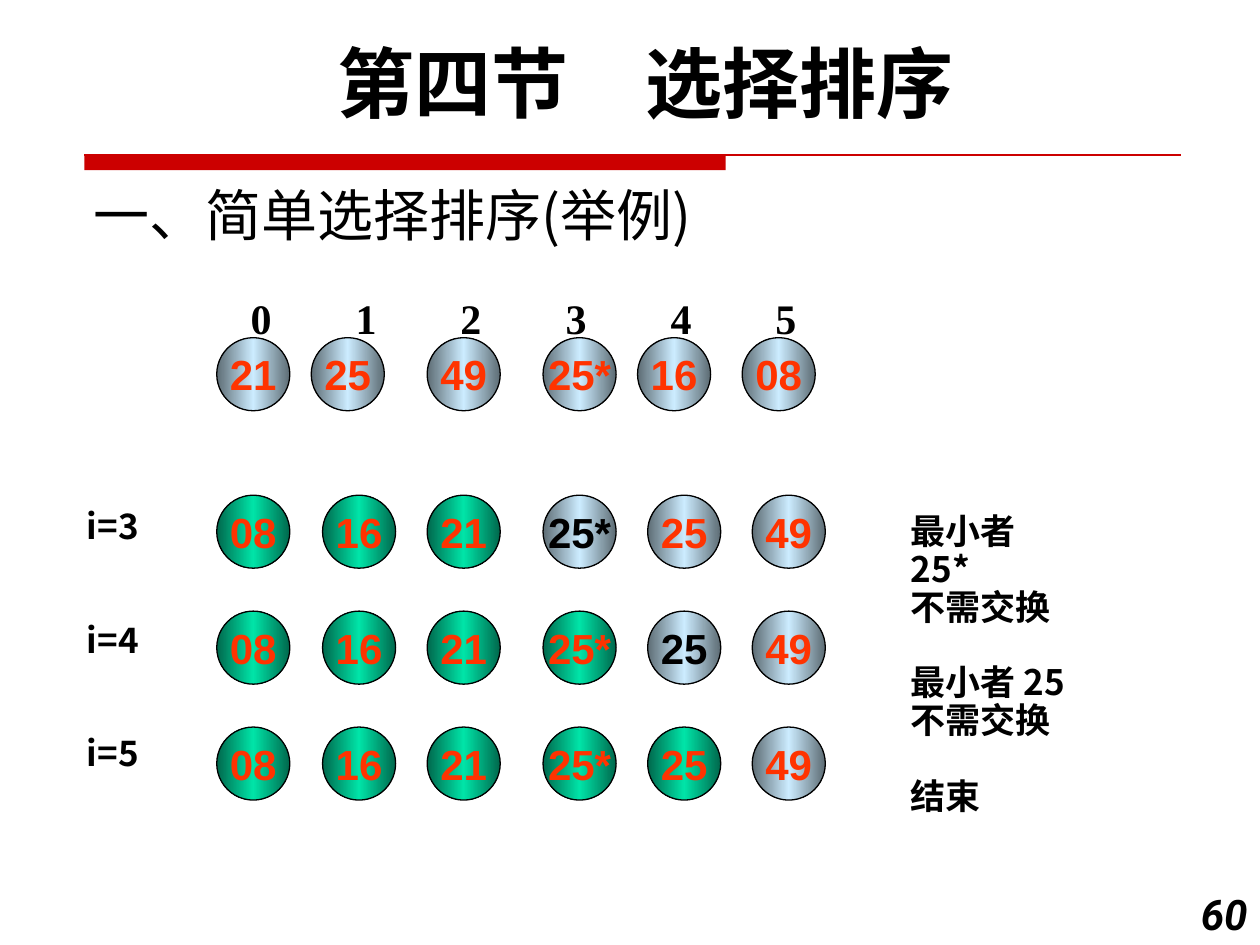
from lxml import etree
from pptx import Presentation
from pptx.dml.color import RGBColor
from pptx.enum.shapes import MSO_CONNECTOR, MSO_SHAPE
from pptx.enum.text import MSO_ANCHOR, PP_ALIGN
from pptx.oxml import parse_xml
from pptx.oxml.ns import nsdecls, qn
from pptx.util import Inches, Pt

OVAL, RECTANGLE = MSO_SHAPE.OVAL, MSO_SHAPE.RECTANGLE
STRAIGHT = MSO_CONNECTOR.STRAIGHT
MIDDLE, BOTTOM = MSO_ANCHOR.MIDDLE, MSO_ANCHOR.BOTTOM
LEFT, CENTER, RIGHT = PP_ALIGN.LEFT, PP_ALIGN.CENTER, PP_ALIGN.RIGHT

BLACK = RGBColor(0x00, 0x00, 0x00)
RULE_RED = RGBColor(0xCC, 0x00, 0x00)
KEY_RED = RGBColor(0xFF, 0x33, 0x00)
# Edge and middle colours of each ball
BLUE_BALL = (RGBColor(0x5D, 0x6C, 0x74), RGBColor(0xCC, 0xEC, 0xFF))
GREEN_BALL = (RGBColor(0x00, 0x68, 0x4C), RGBColor(0x00, 0xE4, 0xA8))

CHINESE, HEADING, SERIF, SANS = "Noto Sans CJK SC", "Roboto", "Times New Roman", "Arial"
BALL_SIZE = 0.58
BALL_OFFSETS = (0, 0.84, 1.67, 2.59, 3.42, 4.25)
START_OFFSETS = (0, 0.75, 1.67, 2.59, 3.34, 4.17)
LINE_POINTS = 21.6

# Top, keys, number of sorted keys, position of the smallest remaining key
PASSES = (
    (3.93, ("08", "16", "21", "25*", "25", "49"), 3, 3),
    (4.85, ("08", "16", "21", "25*", "25", "49"), 4, 4),
    (5.77, ("08", "16", "21", "25*", "25", "49"), 5, None),
)


def add_run(paragraph, text, size, font_name, color=BLACK, bold=True, italic=False):
    run = paragraph.add_run()
    run.text = text
    font = run.font
    font.size, font.name, font.bold, font.italic = Pt(size), font_name, bold, italic
    font.color.rgb = color
    east_asian = CHINESE if font_name == HEADING else font_name
    latin = run.font._element.find(qn("a:latin"))
    latin.addnext(parse_xml(f'<a:ea {nsdecls("a")} typeface="{east_asian}"/>'))


def add_text_box(slide, left, top, width, height):
    text_box = slide.shapes.add_textbox(
        Inches(left), Inches(top), Inches(width), Inches(height))
    text_box.text_frame.word_wrap = True
    return text_box.text_frame


def add_heading(slide, left, top, width, height):
    paragraph = add_text_box(slide, left, top, width, height).paragraphs[0]
    paragraph.alignment = CENTER
    add_run(paragraph, "第四节\u3000选择排序".replace("\u3000", "　"), 44, HEADING)


def add_rule(slide, left, top, width, bar_width, bar_height):
    bar = slide.shapes.add_shape(
        RECTANGLE, Inches(left), Inches(top), Inches(bar_width), Inches(bar_height))
    bar.shadow.inherit = False
    bar.fill.solid()
    bar.fill.fore_color.rgb = RULE_RED
    bar.line.fill.background()
    line = slide.shapes.add_connector(
        STRAIGHT, Inches(left), Inches(top), Inches(left + width), Inches(top))
    line.line.color.rgb = RULE_RED
    line.line.width = Pt(0.75)
    etree.SubElement(line._element.spPr, qn("a:effectLst"))


def set_title(slide, left, top, width, height):
    title = slide.shapes.title
    title.left, title.top = Inches(left), Inches(top)
    title.width, title.height = Inches(width), Inches(height)
    title.text_frame.vertical_anchor = BOTTOM
    paragraph = title.text_frame.paragraphs[0]
    paragraph.alignment = LEFT
    add_run(paragraph, "一、简单选择排序(举例)", 32, CHINESE, bold=False)


def add_index_labels(slide, left, top, width, height):
    """Number the six positions at evenly spaced tab stops."""
    paragraph = add_text_box(slide, left, top, width, height).paragraphs[0]
    stops = "".join(
        f'<a:tab pos="{Inches(5 / 6 * index)}" algn="l"/>' for index in range(1, 6))
    properties = paragraph._p.get_or_add_pPr()
    properties.append(parse_xml(f'<a:tabLst {nsdecls("a")}>{stops}</a:tabLst>'))
    add_run(paragraph, "\t".join(str(index) for index in range(6)), 24, SERIF)


def fill_ball(ball, edge, middle):
    stops = "".join(
        f'<a:gs pos="{position}"><a:srgbClr val="{color}"/></a:gs>'
        for position, color in ((0, edge), (50000, middle), (100000, edge)))
    gradient = parse_xml(
        f'<a:gradFill {nsdecls("a")} rotWithShape="1"><a:gsLst>{stops}</a:gsLst>'
        '<a:lin ang="0" scaled="1"/></a:gradFill>')
    ball._element.spPr.find(qn("a:prstGeom")).addnext(gradient)


def add_ball(group, left, top, key, colors, text_color):
    ball = group.shapes.add_shape(
        OVAL, Inches(left), Inches(top), Inches(BALL_SIZE), Inches(BALL_SIZE))
    ball.shadow.inherit = False
    fill_ball(ball, *colors)
    ball.line.color.rgb = BLACK
    ball.line.width = Pt(0.75)
    frame = ball.text_frame
    frame.word_wrap = False
    frame.vertical_anchor = MIDDLE
    frame.paragraphs[0].alignment = CENTER
    add_run(frame.paragraphs[0], key, 24, SANS, text_color)


def add_ball_row(slide, left, top, keys, offsets, sorted_count=0, smallest=None):
    group = slide.shapes.add_group_shape()
    for index, (key, offset) in enumerate(zip(keys, offsets)):
        colors = GREEN_BALL if index < sorted_count else BLUE_BALL
        text_color = BLACK if index == smallest else KEY_RED
        add_ball(group, left + offset, top, key, colors, text_color)


def add_side_text(slide, left, top, width, height, blocks, gap_lines):
    """Stack blocks of paragraphs, with a gap of whole lines between blocks."""
    frame = add_text_box(slide, left, top, width, height)
    for block_index, block in enumerate(blocks):
        for line_index, lines in enumerate(block):
            first = block_index == line_index == 0
            paragraph = frame.paragraphs[0] if first else frame.add_paragraph()
            paragraph.line_spacing = Pt(LINE_POINTS)
            if block_index and line_index == 0:
                paragraph.space_before = Pt(LINE_POINTS * gap_lines)
            for part_index, text in enumerate(lines.split("\n")):
                if part_index:
                    paragraph.add_line_break()
                add_run(paragraph, text, 20, CHINESE)


def add_page_number(slide, left, top, width, height):
    paragraph = add_text_box(slide, left, top, width, height).paragraphs[0]
    paragraph.alignment = RIGHT
    add_run(paragraph, "60", 24, HEADING, italic=True)


def main():
    presentation = Presentation()
    presentation.slide_width, presentation.slide_height = Inches(10), Inches(7.5)
    slide = presentation.slides.add_slide(presentation.slide_layouts[5])
    add_rule(slide, 0.67, 1.23, 8.7, 5.09, 0.12)
    set_title(slide, 0.64, 1.27, 6.25, 0.75)
    add_page_number(slide, 9.33, 7, 0.67, 0.5)
    add_index_labels(slide, 1.89, 2.27, 4.87, 0.5)
    add_ball_row(slide, 1.72, 2.68, ("21", "25", "49", "25*", "16", "08"), START_OFFSETS)
    for top, keys, sorted_count, smallest in PASSES:
        add_ball_row(slide, 1.72, top, keys, BALL_OFFSETS, sorted_count, smallest)
    notes = (("最小者\n25*", "不需交换"), ("最小者 25", "不需交换"), ("结束",))
    add_side_text(slide, 7.13, 4.03, 1.62, 2.22, notes, 1)
    add_side_text(slide, 0.59, 3.99, 0.94, 2.2, (("i=3",), ("i=4",), ("i=5",)), 2)
    add_heading(slide, 0.5, 0.23, 9.25, 0.84)
    presentation.save("out.pptx")


if __name__ == "__main__":
    main()
